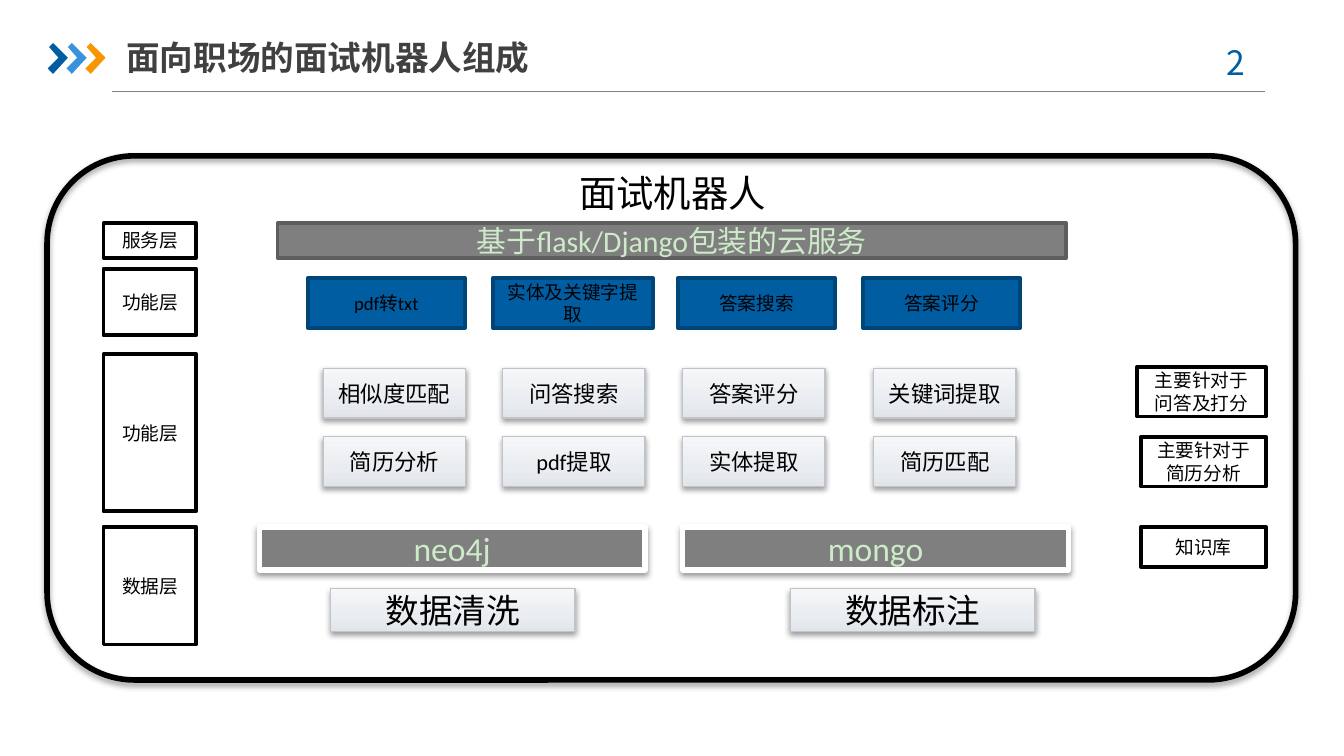
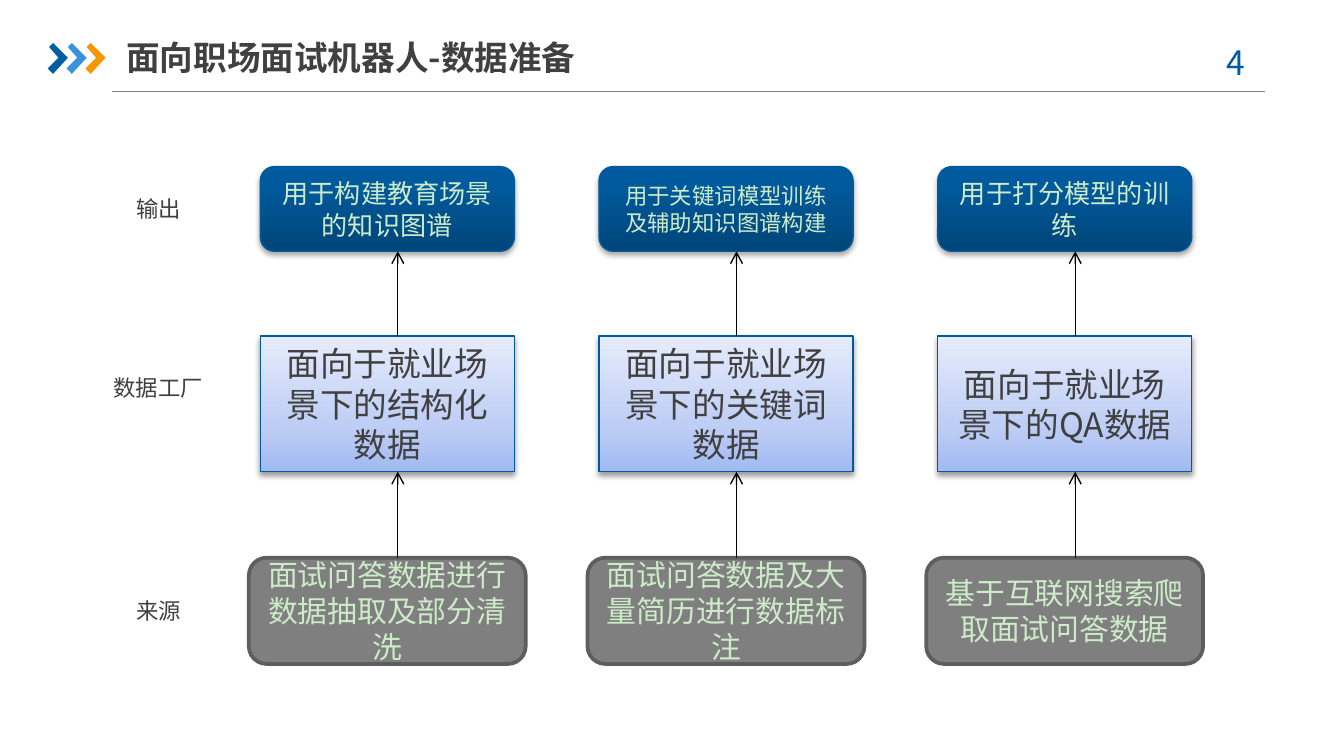
from copy import deepcopy
from typing import NamedTuple

from lxml.etree import SubElement as Sub
from pptx import Presentation
from pptx.dml.color import RGBColor as Rgb
from pptx.enum.shapes import MSO_CONNECTOR as Link, MSO_SHAPE as Form
from pptx.enum.text import MSO_ANCHOR as Anchor, MSO_AUTO_SIZE as Fit, PP_ALIGN as Align
from pptx.oxml.ns import qn
from pptx.util import Inches, Pt

COLS, ROWS = 100, 56.25
WIDE = Inches(10)
HIGH = WIDE * 9 // 16
SANS, CALI = "Noto Sans CJK SC", "Calibri"
HUES = {
    "white": "FFFFFF", "black": "000000", "mint": "CDEBC8", "ink": "404040",
    "blue": "005DA2", "navy": "004578", "sky": "3992DB", "gold": "F79600",
    "rule": "808080", "gray": "7F7F7F", "slate": "5E5E5E",
    "silver": "C0C3C7", "edge": "005B9E",
}
FADES = {
    "pale": ((0, "E1E5EA"), (0.35, "E9ECF0"), (1, "F6F7F9")),
    "lilac": ((0, "A2BAF2"), (0.35, "BFCEF4"), (1, "E6ECFC")),
    "deep": ((0, "004579"), (0.8, "005A9D"), (1, "005B9E")),
}


class Area(NamedTuple):
    x: float
    y: float
    w: float
    h: float


class Look(NamedTuple):
    fill: str
    line: str
    width: float
    hue: str = "black"
    size: float = 10
    font: str = CALI
    shade: int = 0
    form: Form = Form.RECTANGLE


class Tier(NamedTuple):
    look: Look
    y: float
    w: float
    h: float
    texts: tuple
    sizes: tuple


FRAME = Look("", "black", 3, shade=38, form=Form.ROUNDED_RECTANGLE)
PLAIN = Look("white", "black", 2)
TASK = Look("blue", "navy", 2)
CARD = Look("pale", "silver", 0.75, size=12, shade=38)
CLOUD = Look("gray", "slate", 2, "mint", 16)
STORE = Look("gray", "white", 3, "mint", 18, shade=38)
GOAL = Look("deep", "edge", 0.75, "mint", 14, shade=35, form=Form.ROUNDED_RECTANGLE)
PLANT = Look("lilac", "edge", 0.75, "ink", 18, SANS, 38)
ROOT = CLOUD._replace(form=Form.ROUNDED_RECTANGLE)


def across(n: float) -> int:
    return round(WIDE * n / COLS)


def down(n: float) -> int:
    return round(HIGH * n / ROWS)


def span(area: Area) -> tuple:
    return across(area.x), down(area.y), across(area.w), down(area.h)


def hue(name: str) -> Rgb:
    return Rgb.from_string(HUES[name])


def put(item, **vals) -> None:
    for key, val in vals.items():
        setattr(item, key, val)


def write(shape, text: str, size: float, name: str, font: str,
          align=Align.CENTER, bold=False, **vals) -> None:
    frame = shape.text_frame
    put(frame, **vals)
    para = frame.paragraphs[0]
    para.alignment = align
    run = para.add_run()
    run.text = text
    put(run.font, size=Pt(size), name=font, bold=bold)
    run.font.color.rgb = hue(name)
    Sub(run.font._element, qn("a:ea"), typeface=SANS)


def fade(fill, node, stops: tuple) -> None:
    fill.gradient()
    fill.gradient_angle = 90
    first = node.find(".//" + qn("a:gs"))
    first.addnext(deepcopy(first))
    for stop, (place, code) in zip(fill.gradient_stops, stops):
        stop.color.rgb = Rgb.from_string(code)
        stop.position = place


def shadow(shape, alpha: int) -> None:
    shape.shadow.inherit = False
    if alpha:
        home = shape._element.spPr.find(qn("a:effectLst"))
        cast = Sub(home, qn("a:outerShdw"), blurRad=str(Pt(3.1)), dist=str(Pt(1.6)),
                   dir="5400000", rotWithShape="0")
        tint = Sub(cast, qn("a:srgbClr"), val=HUES["black"])
        Sub(tint, qn("a:alpha"), val=str(alpha * 1000))


def block(slide, area: Area, look: Look, text: str = "") -> None:
    shape = slide.shapes.add_shape(look.form, *span(area))
    if look.fill in FADES:
        fade(shape.fill, shape._element.spPr, FADES[look.fill])
    elif look.fill:
        shape.fill.solid()
        shape.fill.fore_color.rgb = hue(look.fill)
    else:
        shape.fill.background()
    shape.line.color.rgb = hue(look.line)
    shape.line.width = Pt(look.width)
    shadow(shape, look.shade)
    if text:
        write(shape, text, look.size, look.hue, look.font,
              vertical_anchor=Anchor.MIDDLE, word_wrap=True)


def label(slide, area: Area, text: str, size: float, name: str, font: str,
          align=Align.CENTER, wrap=True) -> None:
    box = slide.shapes.add_textbox(*span(area))
    write(box, text, size, name, font, align,
          word_wrap=wrap, auto_size=Fit.SHAPE_TO_FIT_TEXT)


def line(slide, start: tuple, stop: tuple, name: str, arrow=False) -> None:
    ends = [f(n) for point in (start, stop) for f, n in zip((across, down), point)]
    link = slide.shapes.add_connector(Link.STRAIGHT, *ends)
    link.line.color.rgb = hue(name)
    link.line.width = Pt(0.75)
    if arrow:
        Sub(link.line._ln, qn("a:tailEnd"), type="arrow")
    Sub(link._element.spPr, qn("a:effectLst"))


def mark(slide, x: float, name: str) -> None:
    spots = ((0.1, 3.5), (0.4, 3.2), (1.5, 4.3), (0.4, 5.5), (0, 5.1), (0.8, 4.3))
    dots = [(across(x + dx), down(y)) for dx, y in spots]
    pen = slide.shapes.build_freeform(*dots[0])
    pen.add_line_segments(dots[1:], close=True)
    shape = pen.convert_to_shape()
    shape.fill.solid()
    shape.fill.fore_color.rgb = hue(name)
    shape.line.fill.background()
    shape.shadow.inherit = False


def start(deck, text: str, page: str, w: float):
    slide = deck.slides.add_slide(deck.slide_layouts[5])
    slide.background.fill.solid()
    slide.background.fill.fore_color.rgb = hue("white")
    line(slide, (8.3, 6.83), (94.1, 6.83), "rule")
    for i, name in enumerate(("blue", "sky", "gold")):
        mark(slide, 3.55 + 1.4 * i, name)
    label(slide, Area(88.6, 2.6, 7.3, 4), page, 18, "blue", SANS)
    title = slide.shapes.title
    put(title, **dict(zip(("left", "top", "width", "height"), span(Area(9.4, 2.15, w, 4.2)))))
    write(title, text, 18, "ink", SANS, Align.LEFT, True, auto_size=Fit.NONE,
          vertical_anchor=Anchor.MIDDLE, word_wrap=True, margin_left=0, margin_right=0,
          margin_top=Inches(0.05), margin_bottom=Inches(0.05))
    return slide


def parts(deck) -> None:
    slide = start(deck, "面向职场的面试机器人组成", "2 ", 39)
    block(slide, Area(3.5, 11.6, 92.9, 39), FRAME)
    label(slide, Area(20.7, 12.2, 58.7, 4.4), "面试机器人", 20, "black", CALI)
    block(slide, Area(20.65, 16.6, 58.7, 2.6), CLOUD, "基于flask/Django包装的云服务")

    layers = ((16.6, 2.6, "服务层"), (20, 4.95, "功能层"),
              (26.35, 11.7, "功能层"), (39.2, 8.75, "数据层"))
    for y, h, text in layers:
        block(slide, Area(7.7, y, 6.9, h), PLAIN, text)

    tasks = (("pdf转txt", 11.7), ("实体及关键字提取", 11.9),
             ("答案搜索", 11.7), ("答案评分", 11.7))
    for i, (text, w) in enumerate(tasks):
        block(slide, Area(22.9 + 13.77 * i, 20.7, w, 3.7), TASK, text)

    cards = (("相似度匹配", "问答搜索", "答案评分", "关键词提取"),
             ("简历分析", "pdf提取", "实体提取", "简历匹配"))
    for row, texts in enumerate(cards):
        for x, text in zip((24.05, 37.4, 50.8, 65), texts):
            block(slide, Area(x, 27.4 + 5.1 * row, 10.6, 3.7), CARD, text)

    notes = ((27.3, 9.6, 3.7, "主要针对于问答及打分"),
             (32.5, 9.3, 3.7, "主要针对于简历分析"), (39.2, 9.3, 3, "知识库"))
    for y, w, h, text in notes:
        block(slide, Area(94.2 - w, y, w, h), PLAIN, text)

    for i, (store, step) in enumerate((("neo4j", "数据清洗"), ("mongo", "数据标注"))):
        block(slide, Area(19.3 + 31.5 * i, 39.2, 28.7, 3.2), STORE, store)
        block(slide, Area(24.6 + 34.2 * i, 43.8, 18.2, 3.2), CARD._replace(size=18), step)


def supply(deck) -> None:
    slide = start(deck, "面向职场面试机器人-数据准备", "4 ", 58.9)
    tiers = (
        Tier(GOAL, 12.4, 18.9, 6.3, ("用于构建教育场景的知识图谱",
             "用于关键词模型训练及辅助知识图谱构建", "用于打分模型的训练"), (14, 12, 14)),
        Tier(PLANT, 25, 18.9, 10.1, ("面向于就业场景下的结构化数据",
             "面向于就业场景下的关键词数据", "面向于就业场景下的QA数据"), (18,) * 3),
        Tier(ROOT, 41.5, 20.6, 7.9, ("面试问答数据进行数据抽取及部分清洗",
             "面试问答数据及大量简历进行数据标注", "基于互联网搜索爬取面试问答数据"), (16,) * 3),
    )
    mids = [28.82 + 25.2 * i for i in range(3)]
    for tier in tiers:
        for mid, text, size in zip(mids, tier.texts, tier.sizes):
            block(slide, Area(mid - tier.w / 2, tier.y, tier.w, tier.h),
                  tier.look._replace(size=size), text)
    for high, low in zip(tiers, tiers[1:]):
        for mid in mids:
            line(slide, (mid + 0.78, low.y), (mid + 0.78, high.y + high.h), "black", True)
    for y, w, text in ((14, 5.3, "输出"), (27.35, 8.7, "数据工厂"), (43.95, 5.3, "来源")):
        label(slide, Area(11.8 - w / 2, y, w, 3), text, 12, "ink", SANS, Align.LEFT, False)


def main() -> None:
    deck = Presentation()
    put(deck, slide_width=WIDE, slide_height=HIGH)
    parts(deck)
    supply(deck)
    deck.save("out.pptx")


if __name__ == "__main__":
    main()
